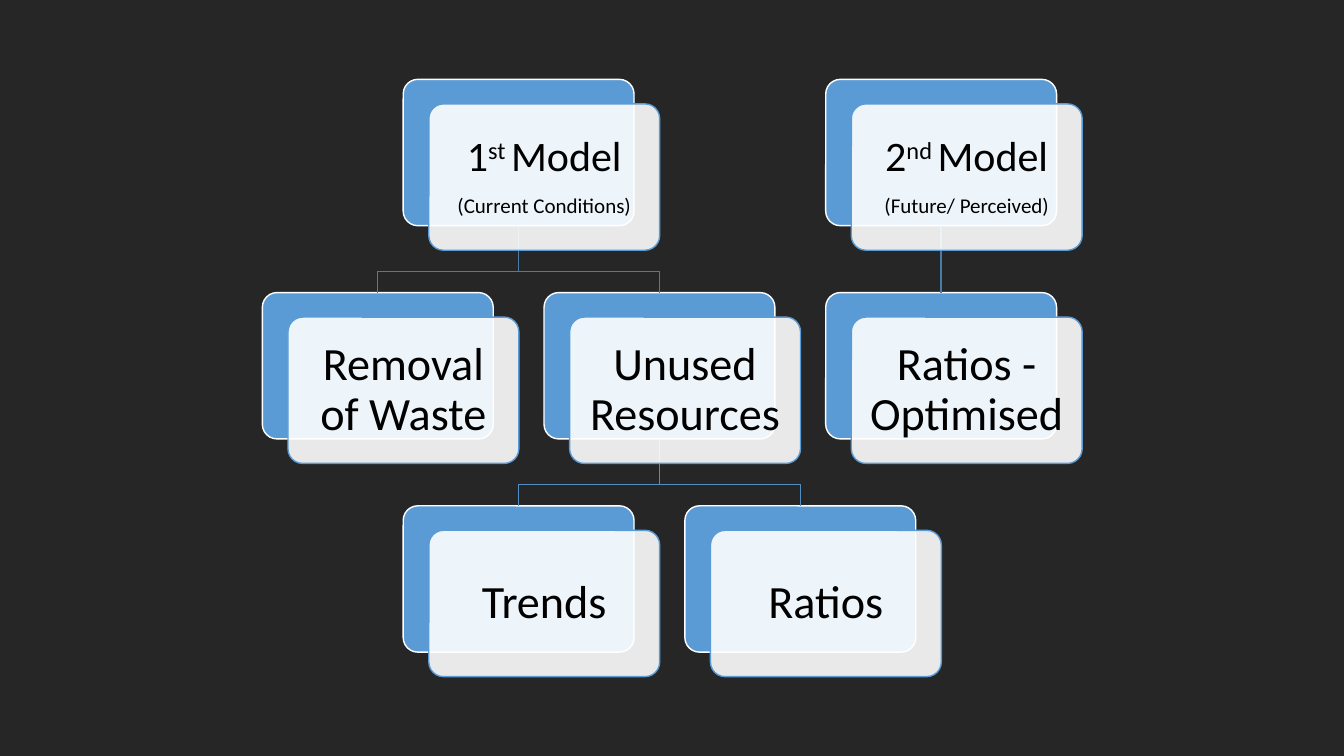
from lxml.etree import SubElement
from pptx import Presentation
from pptx.dml.color import RGBColor
from pptx.enum.shapes import MSO_CONNECTOR, MSO_SHAPE
from pptx.enum.text import MSO_ANCHOR, PP_ALIGN
from pptx.oxml.ns import qn
from pptx.util import Pt

COLORS = {
    "background": "262626",
    "blue": "5B9BD5",
    "white": "FFFFFF",
    "text": "000000",
    "upper link": "497CAB",
    "lower link": "538DC1",
}
RGB = {name: RGBColor.from_string(value) for name, value in COLORS.items()}

LEFT, TOP = 187.4, 56.7
HALF_COLUMN, ROW = 100.6, 152.3
CARD_W, CARD_H = 164.9, 104.5
SHIFT_X, SHIFT_Y = 18.3, 17.5
BEND = 32.7  # drop from a parent card to the bend of its link

# name: (half column, row, text size, lines of (run, superscript))
CARDS = {
    "first": (1, 0, 30, [("1", False), ("st ", True), ("Model", False)], "(Current Conditions)"),
    "waste": (0, 1, 33, [("Removal of Waste", False)], None),
    "unused": (2, 1, 33, [("Unused Resources", False)], None),
    "trends": (1, 2, 33, [("Trends", False)], None),
    "ratios": (3, 2, 33, [("Ratios", False)], None),
    "second": (4, 0, 30, [("2", False), ("nd ", True), ("Model", False)], "(Future/ Perceived)"),
    "optimised": (4, 1, 33, [("Ratios - Optimised", False)], None),
}
BRANCHES = [
    ("unused", "ratios", "lower link"),
    ("unused", "trends", "lower link"),
    ("first", "unused", "upper link"),
    ("first", "waste", "upper link"),
]


def add_card(x, y, fill, line):
    sp = s.shapes.add_shape(MSO_SHAPE.ROUNDED_RECTANGLE, Pt(x), Pt(y), Pt(CARD_W), Pt(CARD_H))
    sp.adjustments[0] = 0.1
    sp.shadow.inherit = False
    sp.fill.solid()
    sp.fill.fore_color.rgb = RGB[fill]
    sp.line.color.rgb = RGB[line]
    sp.line.width = Pt(1)
    return sp


def add_run(p, text, size, superscript=False):
    r = p.add_run()
    r.text = text
    r.font.name = "Calibri"
    r.font.size = Pt(size)
    r.font.color.rgb = RGB["text"]
    if superscript:
        r.font._element.set("baseline", "30000")


prs = Presentation()
prs.slide_width, prs.slide_height = Pt(960), Pt(540)
s = prs.slides.add_slide(prs.slide_layouts[6])
s.background.fill.solid()
s.background.fill.fore_color.rgb = RGB["background"]

# Blue back cards
corners = {name: (LEFT + card[0] * HALF_COLUMN, TOP + card[1] * ROW) for name, card in CARDS.items()}
backs = {name: add_card(x, y, "blue", "white") for name, (x, y) in corners.items()}

# Links between the back cards
for parent, child, color in BRANCHES:
    x1, y1 = corners[parent][0] + CARD_W / 2, corners[parent][1] + CARD_H
    x2, y2 = corners[child][0] + CARD_W / 2, corners[child][1]
    bend = y1 + BEND
    builder = s.shapes.build_freeform(Pt(x1), Pt(y1))
    points = [(x1, bend), (x2, bend), (x2, y2)]
    builder.add_line_segments([(Pt(x), Pt(y)) for x, y in points], close=False)
    branch = builder.convert_to_shape()
    branch.shadow.inherit = False
    branch.fill.background()
    branch.line.color.rgb = RGB[color]
    branch.line.width = Pt(1)

link = s.shapes.add_connector(MSO_CONNECTOR.STRAIGHT, 0, 0, 0, 0)
link.begin_connect(backs["second"], 2)
link.end_connect(backs["optimised"], 0)
link.line.color.rgb = RGB["upper link"]
link.line.width = Pt(1)
SubElement(link._element.spPr, qn("a:effectLst"))

# Translucent front cards with the text
for name, (_, _, size, heading, note) in CARDS.items():
    x, y = corners[name]
    front = add_card(x + SHIFT_X, y + SHIFT_Y, "white", "blue")
    white = front._element.spPr.find(qn("a:solidFill")).find(qn("a:srgbClr"))
    SubElement(white, qn("a:alpha"), val="90000")

    tf = front.text_frame
    tf.word_wrap = True
    tf.vertical_anchor = MSO_ANCHOR.MIDDLE
    tf.margin_left = tf.margin_right = tf.margin_top = tf.margin_bottom = Pt(0.3 * size)
    p = tf.paragraphs[0]
    for text, superscript in heading:
        add_run(p, text, size, superscript)
    if note:
        p.space_after = Pt(0.35 * size)
        add_run(tf.add_paragraph(), note, size / 2)
    for p in tf.paragraphs:
        p.alignment = PP_ALIGN.CENTER
        p.line_spacing = 0.9

prs.save("out.pptx")
